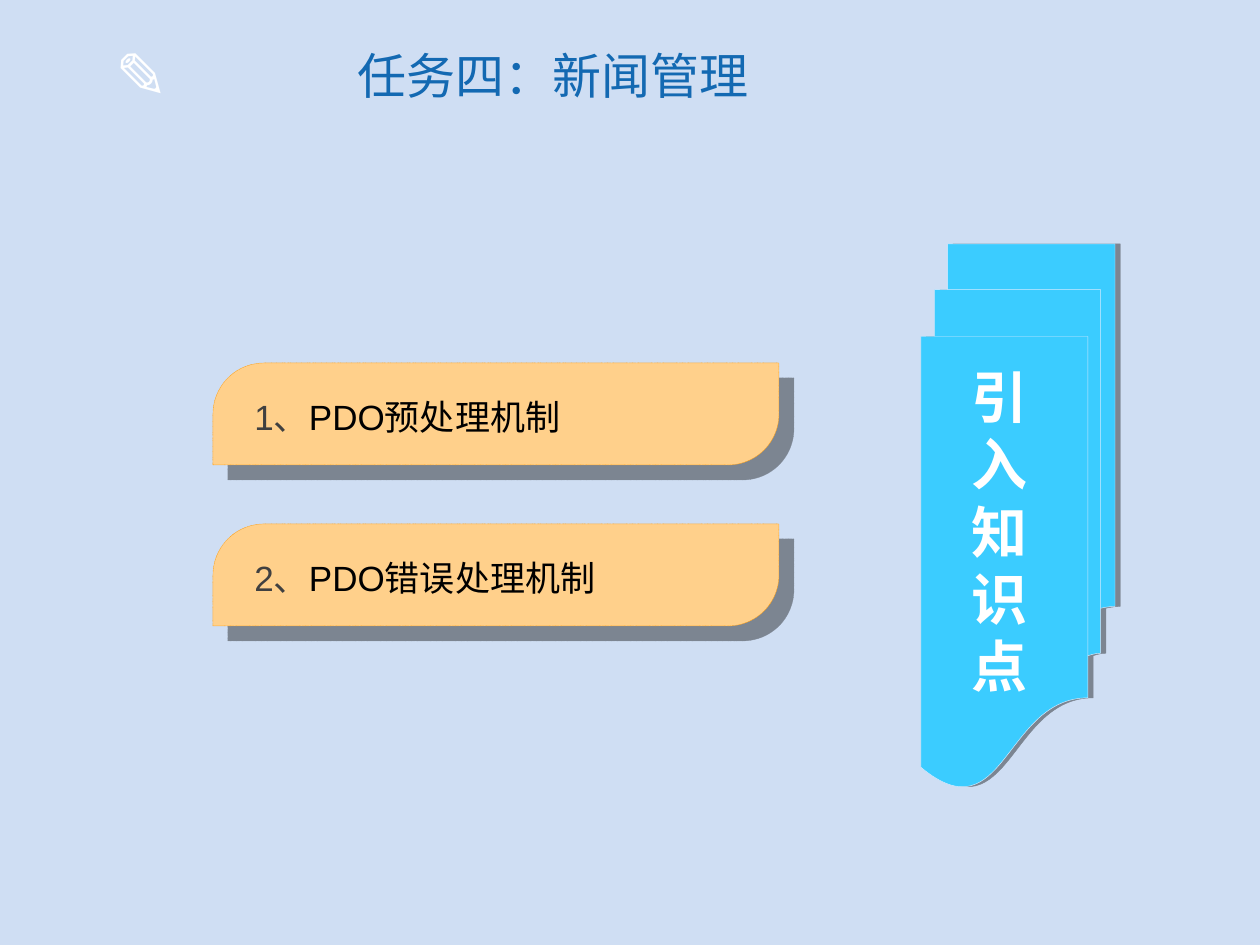
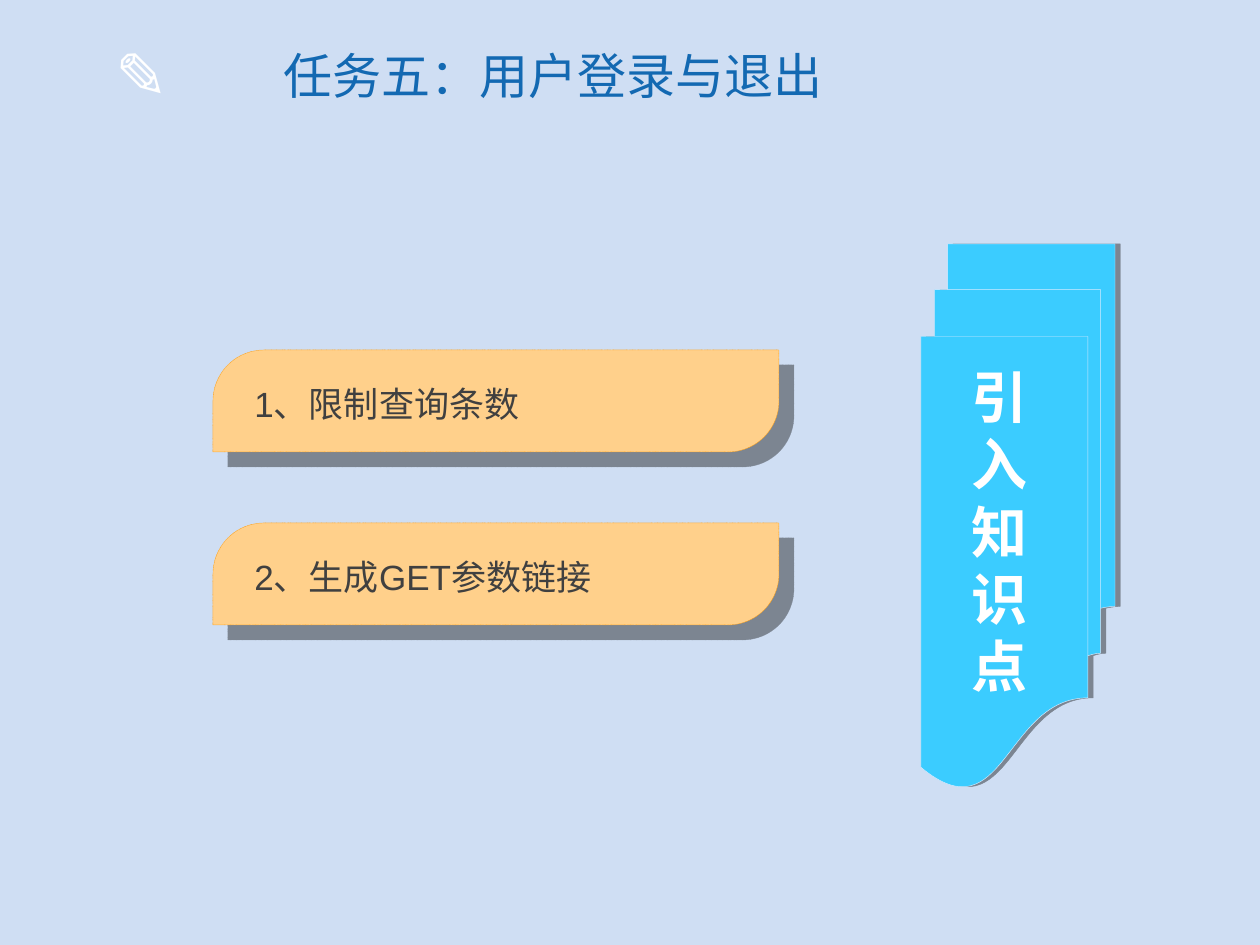
from collections import namedtuple
from dataclasses import dataclass

from lxml import etree
from pptx import Presentation
from pptx.dml.color import RGBColor
from pptx.enum.dml import MSO_LINE
from pptx.enum.shapes import MSO_SHAPE
from pptx.enum.text import MSO_ANCHOR, PP_ALIGN
from pptx.oxml.ns import qn
from pptx.util import Pt

BAR_SHAPE = MSO_SHAPE.ROUND_2_DIAG_RECTANGLE
BANNER_SHAPE = MSO_SHAPE.FLOWCHART_MULTIDOCUMENT
DOTTED = MSO_LINE.ROUND_DOT
LEFT, CENTER = PP_ALIGN.LEFT, PP_ALIGN.CENTER
TOP, MIDDLE = MSO_ANCHOR.TOP, MSO_ANCHOR.MIDDLE

EMU_PER_PX = 914400 / 126
SLIDE_WIDTH, SLIDE_HEIGHT = 1260, 945

Box = namedtuple("Box", "left top width height")


@dataclass(frozen=True)
class Theme:
    background: str = "CFDEF3"
    title: str = "1369B2"
    white: str = "FFFFFF"
    banner: str = "3BCCFF"
    banner_edge: str = "D5EBFF"
    bar: str = "FFD08B"
    bar_edge: str = "FF9D0D"
    number: str = "404040"
    strong: str = "000000"
    shadow: str = "000000"
    latin_font: str = "Arial"
    chinese_font: str = "Noto Sans CJK SC"
    icon_size: int = 36
    banner_size: int = 32
    title_size: int = 28
    item_size: int = 20
    edge_width: float = 0.25


THEME = Theme()

ICON_BOX = Box(103, 30, 92, 88)
TITLE_BOX = Box(228, 21, 650, 107)
BANNER_BOX = Box(921, 244, 194, 544)
BAR_LEFT, BAR_WIDTH, BAR_HEIGHT = 213, 566, 102

# Each item is a list of (words, colour) runs
SLIDES = [
    {
        "title": "任务四：新闻管理",
        "first_bar": 363,
        "pitch": 161,
        "items": [
            [("1、", THEME.number), ("PDO预处理机制", THEME.strong)],
            [("2、", THEME.number), ("PDO错误处理机制", THEME.strong)],
        ],
    },
    {
        "title": "任务五：用户登录与退出",
        "first_bar": 350,
        "pitch": 173,
        "items": [
            [("1、限制查询条数", THEME.number)],
            [("2、生成GET参数链接", THEME.number)],
        ],
    },
]


def px(length):
    return round(length * EMU_PER_PX)


def place(box):
    return [px(length) for length in box]


def add_text(slide, box, runs, size, font=THEME.latin_font, bold=False,
             align=LEFT, anchor=TOP, wrap=True, line_points=None):
    """Add one paragraph made of (words, colour) runs."""
    text_frame = slide.shapes.add_textbox(*place(box)).text_frame
    text_frame.word_wrap = wrap
    text_frame.vertical_anchor = anchor
    paragraph = text_frame.paragraphs[0]
    paragraph.alignment = align
    if line_points:
        paragraph.line_spacing = Pt(line_points)
    for words, color in runs:
        run = paragraph.add_run()
        run.text = words
        run.font.size = Pt(size)
        run.font.bold = bold
        run.font.name = font
        run.font.color.rgb = RGBColor.from_string(color)
        east_asian = etree.SubElement(run.font._element, qn("a:ea"))
        east_asian.set("typeface", THEME.chinese_font)


def add_shadow(shape, distance, degrees):
    """Give the shape a hard shadow at 40 % opacity."""
    shape.shadow.inherit = False
    effects = shape._element.spPr.find(qn("a:effectLst"))
    shadow = etree.SubElement(
        effects, qn("a:outerShdw"), blurRad="0", dist=str(Pt(distance)),
        dir=str(degrees * 60000), algn="tl", rotWithShape="0")
    color = etree.SubElement(shadow, qn("a:srgbClr"), val=THEME.shadow)
    etree.SubElement(color, qn("a:alpha"), val="40000")


def add_panel(slide, kind, box, fill, edge, shadow_distance, shadow_degrees):
    shape = slide.shapes.add_shape(kind, *place(box))
    shape.fill.solid()
    shape.fill.fore_color.rgb = RGBColor.from_string(fill)
    shape.line.color.rgb = RGBColor.from_string(edge)
    shape.line.width = Pt(THEME.edge_width)
    add_shadow(shape, shadow_distance, shadow_degrees)
    return shape


def add_header(slide, title):
    add_text(slide, ICON_BOX, [("✎", THEME.white)], THEME.icon_size,
             font=THEME.chinese_font, bold=True, wrap=False, line_points=43)
    add_text(slide, TITLE_BOX, [(title, THEME.title)], THEME.title_size,
             font=THEME.chinese_font, align=CENTER, anchor=MIDDLE)


def add_banner(slide, box):
    add_panel(slide, BANNER_SHAPE, box, THEME.banner, THEME.banner_edge, 3, 0)
    # The narrow box puts one character on each line
    label_box = Box(box.left + 38, box.top + 112, 76, 349)
    add_text(slide, label_box, [("引入知识点", THEME.white)],
             THEME.banner_size, bold=True, line_points=38.5)


def add_item_bar(slide, box, runs):
    bar = add_panel(slide, BAR_SHAPE, box, THEME.bar, THEME.bar_edge, 12.1, 45)
    bar.adjustments[0] = 0.5
    bar.line.dash_style = DOTTED
    label_box = Box(box.left + 29, box.top + 25, box.width - 67, 55)
    add_text(slide, label_box, runs, THEME.item_size, line_points=25)


def build_task_slide(presentation, title, first_bar, pitch, items):
    slide = presentation.slides.add_slide(presentation.slide_layouts[6])
    slide.background.fill.solid()
    slide.background.fill.fore_color.rgb = RGBColor.from_string(THEME.background)
    add_header(slide, title)
    add_banner(slide, BANNER_BOX)
    for index, runs in enumerate(items):
        top = first_bar + index * pitch
        add_item_bar(slide, Box(BAR_LEFT, top, BAR_WIDTH, BAR_HEIGHT), runs)


def main():
    presentation = Presentation()
    presentation.slide_width = px(SLIDE_WIDTH)
    presentation.slide_height = px(SLIDE_HEIGHT)
    for content in SLIDES:
        build_task_slide(presentation, **content)
    presentation.save("out.pptx")


if __name__ == "__main__":
    main()
